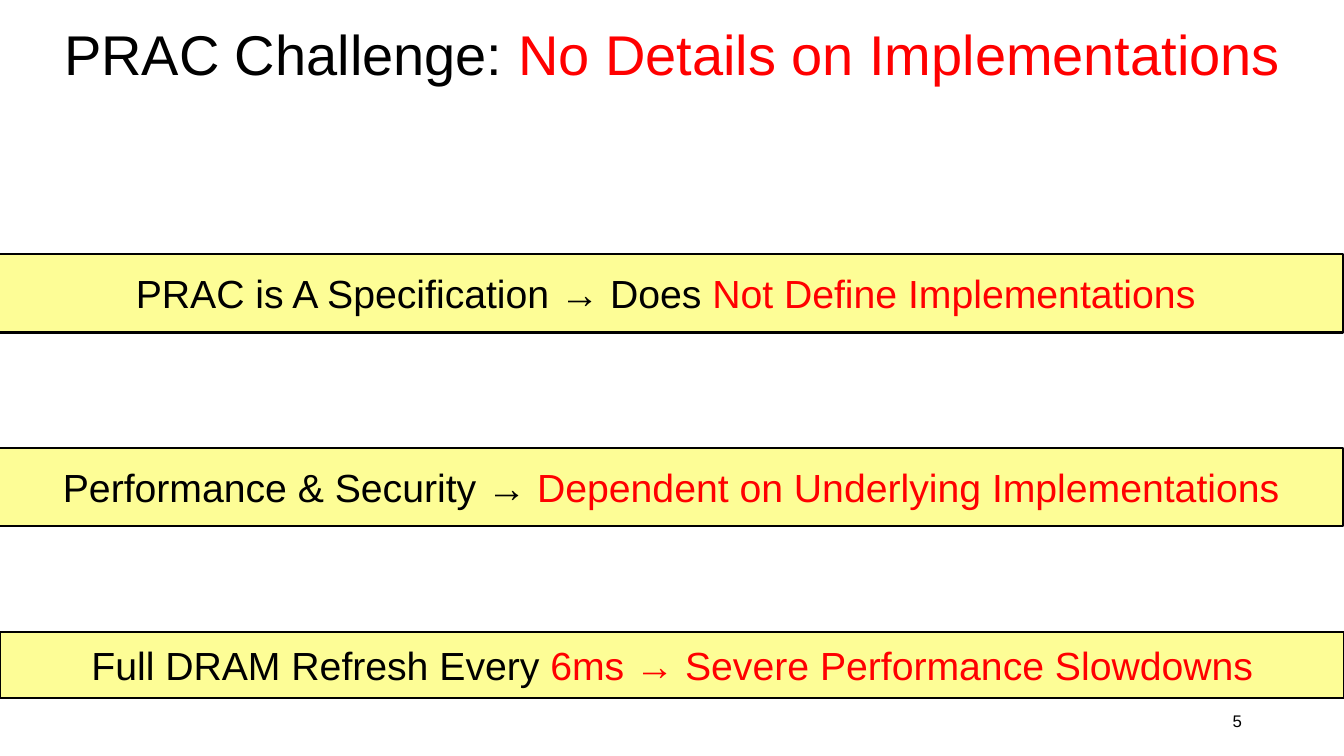
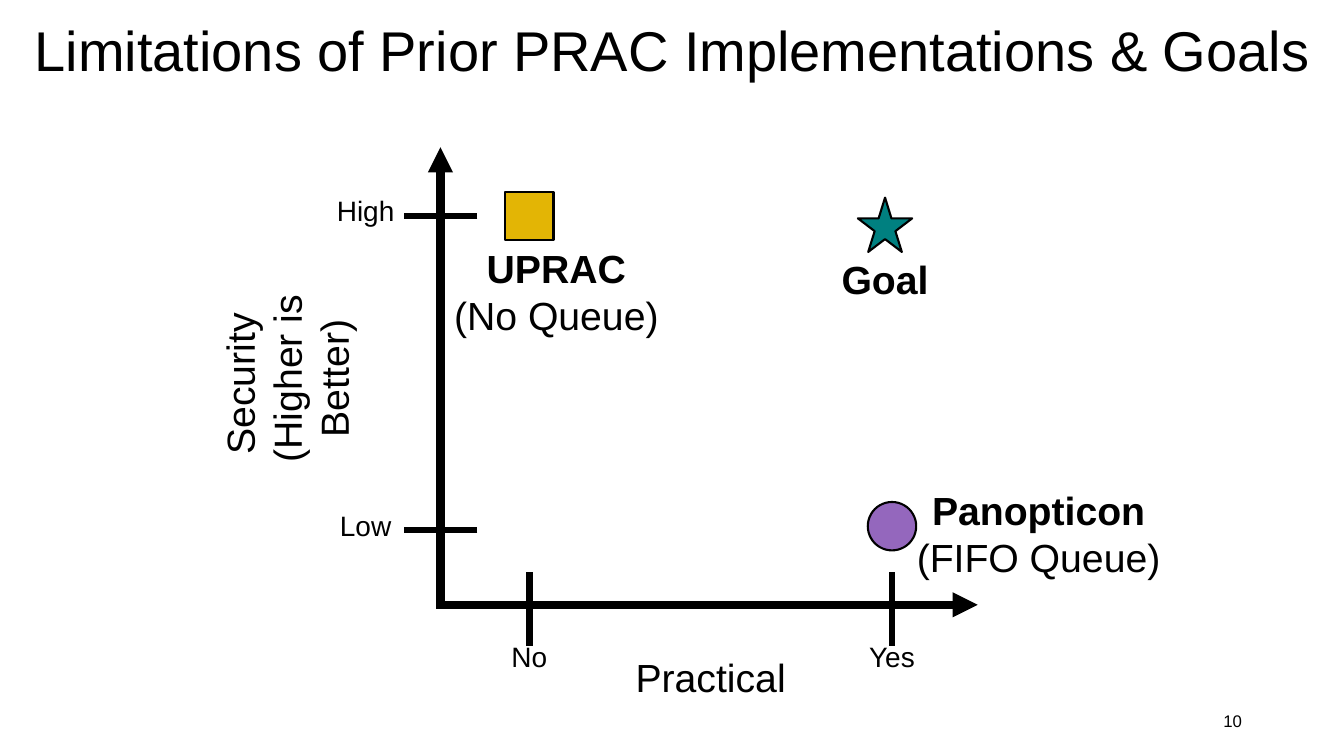
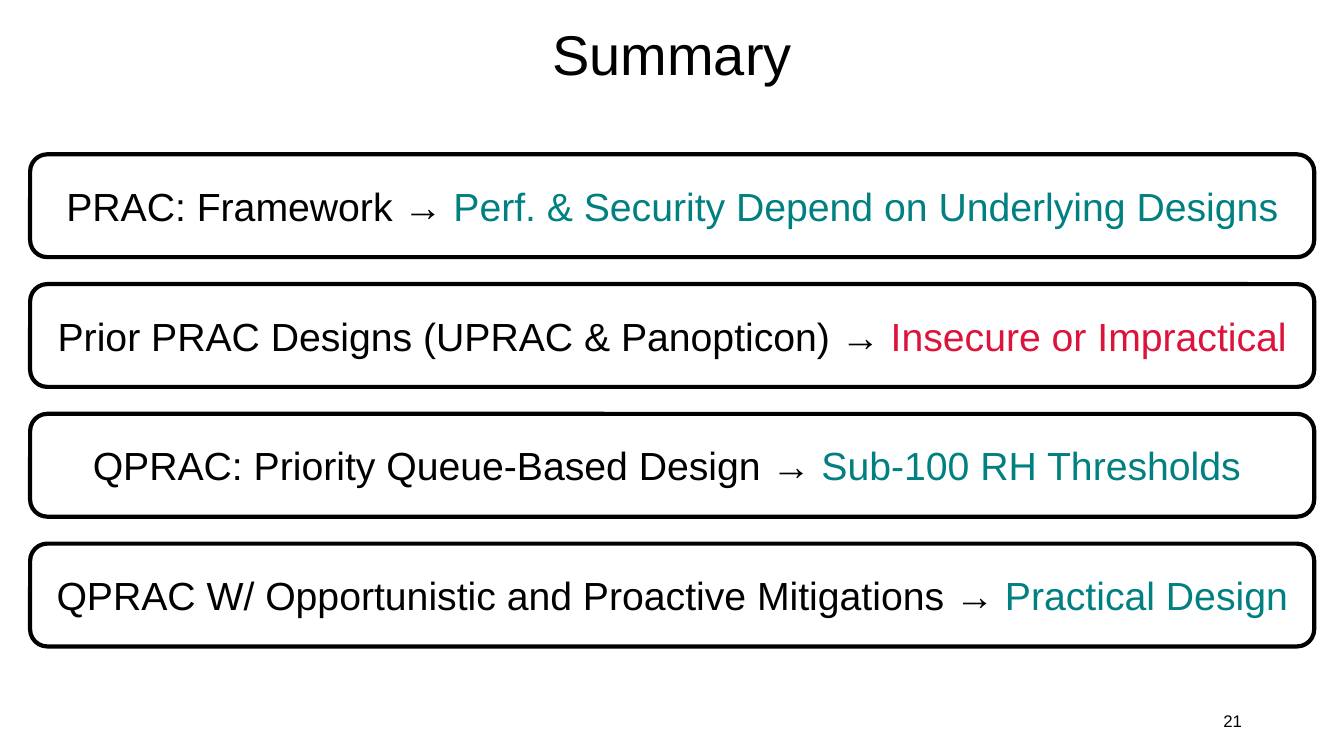
import pptx
import pptx.dml.color
import pptx.enum.shapes
import pptx.enum.text
import pptx.oxml.ns
import pptx.util
from lxml import etree

Cm = pptx.util.Cm
Pt = pptx.util.Pt
Shapes = pptx.enum.shapes.MSO_SHAPE
Align = pptx.enum.text.PP_ALIGN
Anchor = pptx.enum.text.MSO_ANCHOR

# Shared style
FONT = "Arial"
BLACK, WHITE, RED, CRIMSON = "000000", "FFFFFF", "FF0000", "DC143C"
TEAL, YELLOW, GOLD, PURPLE = "008080", "FDFD96", "E3B505", "9467BD"
SLIDE_WIDTH, SLIDE_HEIGHT = 33.87, 19.05
TITLE_SIZE, BODY_SIZE, TICK_SIZE, NUMBER_SIZE = 40, 28, 20, 12


def rgb(value):
    return pptx.dml.color.RGBColor.from_string(value)


def format_run(run, size, color=BLACK, bold=False):
    run.font.name = FONT
    run.font.size = Pt(size)
    run.font.bold = bold
    run.font.color.rgb = rgb(color)


def write_parts(shape, parts, size, align=Align.CENTER):
    """Write one paragraph made of (text, colour) parts."""
    frame = shape.text_frame
    frame.word_wrap = True
    frame.vertical_anchor = Anchor.MIDDLE
    paragraph = frame.paragraphs[0]
    paragraph.alignment = align
    for text, color in parts:
        run = paragraph.add_run()
        run.text = text
        format_run(run, size, color)
    return paragraph


def add_box(slide, left, top, width, height):
    return slide.shapes.add_textbox(Cm(left), Cm(top), Cm(width), Cm(height))


def add_label(slide, text, left, top, width, height, size=BODY_SIZE, bold_first=False):
    """Add a centred label; each line of text is a paragraph."""
    label = add_box(slide, left, top, width, height)
    frame = label.text_frame
    frame.word_wrap = True
    frame.auto_size = pptx.enum.text.MSO_AUTO_SIZE.SHAPE_TO_FIT_TEXT
    frame.text = text
    for index, paragraph in enumerate(frame.paragraphs):
        paragraph.alignment = Align.CENTER
        for run in paragraph.runs:
            format_run(run, size, bold=bold_first and index == 0)
    return label


def add_filled(slide, kind, left, top, width, height, fill, line_width=1.5):
    shape = slide.shapes.add_shape(kind, Cm(left), Cm(top), Cm(width), Cm(height))
    shape.shadow.inherit = False
    shape.fill.solid()
    shape.fill.fore_color.rgb = rgb(fill)
    shape.line.color.rgb = rgb(BLACK)
    shape.line.width = Pt(line_width)
    return shape


def add_line(slide, x1, y1, x2, y2, width, arrow=False):
    connector = slide.shapes.add_connector(
        pptx.enum.shapes.MSO_CONNECTOR.STRAIGHT, Cm(x1), Cm(y1), Cm(x2), Cm(y2))
    connector.line.color.rgb = rgb(BLACK)
    connector.line.width = Pt(width)
    properties = connector._element.spPr
    if arrow:
        line = properties.find(pptx.oxml.ns.qn("a:ln"))
        etree.SubElement(line, pptx.oxml.ns.qn("a:tailEnd"), type="triangle")
    etree.SubElement(properties, pptx.oxml.ns.qn("a:effectLst"))


def add_slide(presentation, title_parts, number, title_top=0.38):
    """Add a blank slide with its title and slide number."""
    slide = presentation.slides.add_slide(presentation.slide_layouts[6])
    title = add_box(slide, 0, title_top, SLIDE_WIDTH, 2.13)
    write_parts(title, title_parts, TITLE_SIZE).line_spacing = 0.9
    number_box = add_box(slide, 23.93, 17.65, 7.62, 1.02)
    write_parts(number_box, [(number, BLACK)], NUMBER_SIZE, Align.RIGHT)
    return slide


def build_challenge(presentation):
    slide = add_slide(presentation, [("PRAC Challenge: ", BLACK),
                                     ("No Details on Implementations", RED)], "5")
    bands = [
        (-0.03, 6.4, 1.98, "PRAC is A Specification → Does ", "Not Define Implementations "),
        (-0.03, 11.28, 1.98, "Performance & Security → ",
         "Dependent on Underlying Implementations"),
        (0, 15.93, 1.65, "Full DRAM Refresh Every ", "6ms → Severe Performance Slowdowns"),
    ]
    for left, top, height, lead, emphasis in bands:
        band = add_filled(slide, Shapes.RECTANGLE, left, top, 33.88, height, YELLOW)
        write_parts(band, [(lead, BLACK), (emphasis, RED)], BODY_SIZE)


def build_goals(presentation):
    slide = add_slide(presentation, [
        ("Limitations of Prior PRAC Implementations & Goals", BLACK)], "10", 0.28)

    # Axes and their names
    axis_x, axis_y = 11.1, 15.24
    add_line(slide, axis_x, axis_y + 0.1, axis_x, 3.71, 6, arrow=True)
    add_line(slide, axis_x - 0.1, axis_y, 24.64, axis_y, 6, arrow=True)
    add_label(slide, "Practical", 12.4, 16.33, 11.02, 1.45)
    security = add_label(slide, "Security \n(Higher is Better)", 5.31, 5.69, 2.9, 7.7)
    security.text_frame._txBody.bodyPr.set("vert", "vert270")

    # Ticks
    half_tick, label_width, label_height = 0.93, 2.59, 1.12
    for text, y in (("Low", 13.36), ("High", 5.44)):
        add_line(slide, axis_x + half_tick, y, axis_x - half_tick, y, 4.5)
        add_label(slide, text, 7.92, y - 0.68, label_width, label_height, TICK_SIZE)
    for text, x in (("No", 13.34), ("Yes", 22.48)):
        add_line(slide, x, axis_y + 0.1 + half_tick, x, axis_y + 0.1 - half_tick, 4.5)
        add_label(slide, text, x - label_width / 2, 15.98, label_width, label_height, TICK_SIZE)

    # Designs: marker and label
    designs = [
        (Shapes.RECTANGLE, 12.73, 4.83, 1.22, GOLD,
         "UPRAC\n(No Queue)", 11.1, 6.02, 5.84, 2.64),
        (Shapes.OVAL, 21.87, 12.65, 1.22, PURPLE,
         "Panopticon\n(FIFO Queue)", 22.76, 12.12, 6.83, 2.64),
        (Shapes.STAR_5_POINT, 21.62, 4.98, 1.37, TEAL, "Goal", 19.89, 6.3, 4.83, 1.45),
    ]
    for kind, left, top, size, color, text, *label_place in designs:
        add_filled(slide, kind, left, top, size, size, color)
        add_label(slide, text, *label_place, bold_first=True)


def build_summary(presentation):
    slide = add_slide(presentation, [("Summary", BLACK)], "21")
    points = [
        ("PRAC: Framework → ", "Perf. & Security Depend on Underlying Designs", TEAL),
        ("Prior PRAC Designs (UPRAC & Panopticon) → ", "Insecure or Impractical", CRIMSON),
        ("QPRAC: Priority Queue-Based Design → ", "Sub-100 RH Thresholds ", TEAL),
        ("QPRAC W/ Opportunistic and Proactive Mitigations → ", "Practical Design", TEAL),
    ]
    for index, (lead, emphasis, color) in enumerate(points):
        panel = add_filled(slide, Shapes.ROUNDED_RECTANGLE, 0.76, 3.89 + 3.27 * index,
                           32.36, 2.59, WHITE, 3)
        write_parts(panel, [(lead, BLACK), (emphasis, color)], BODY_SIZE)


def main():
    presentation = pptx.Presentation()
    presentation.slide_width = Cm(SLIDE_WIDTH)
    presentation.slide_height = Cm(SLIDE_HEIGHT)
    build_challenge(presentation)
    build_goals(presentation)
    build_summary(presentation)
    presentation.save("out.pptx")


if __name__ == "__main__":
    main()
